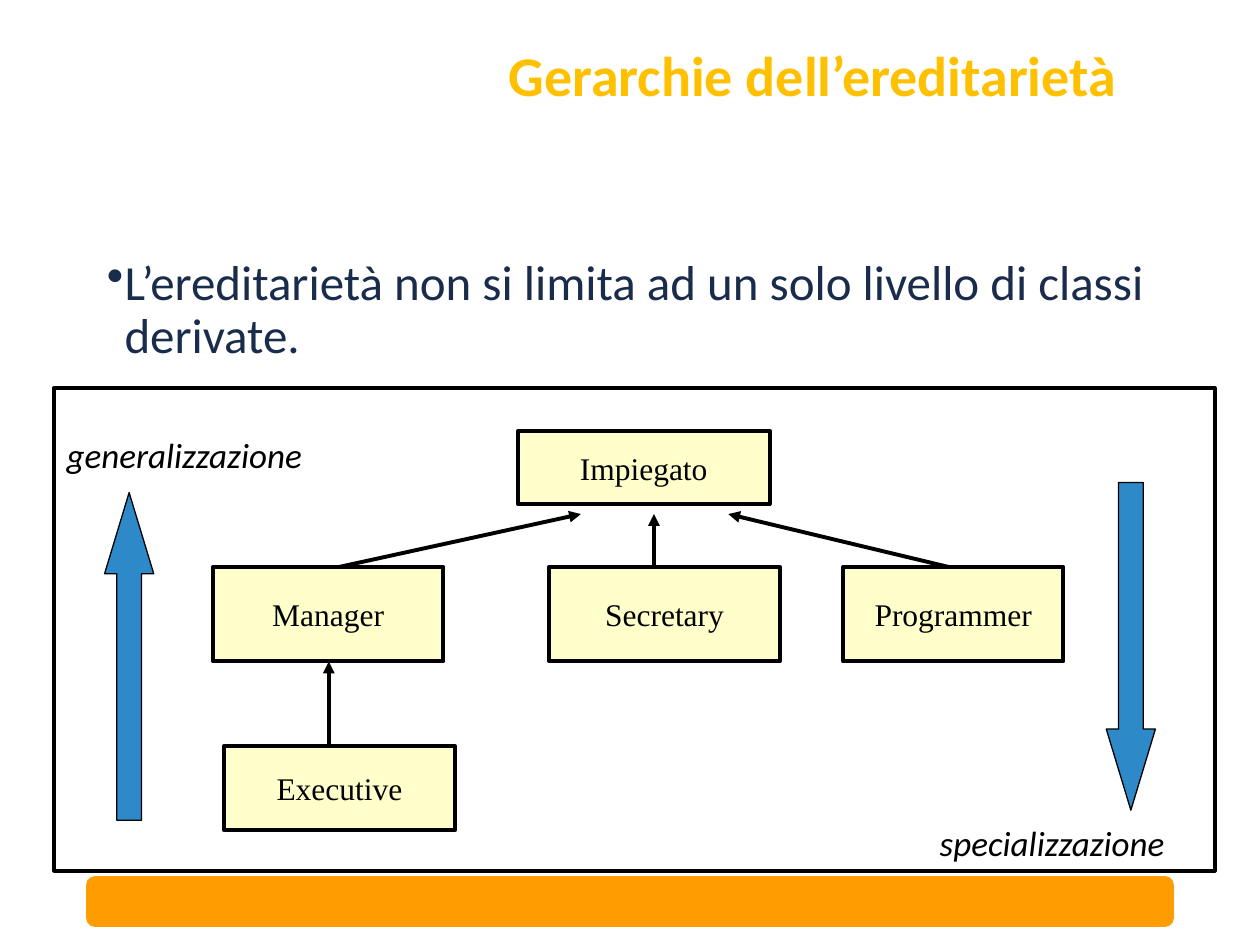
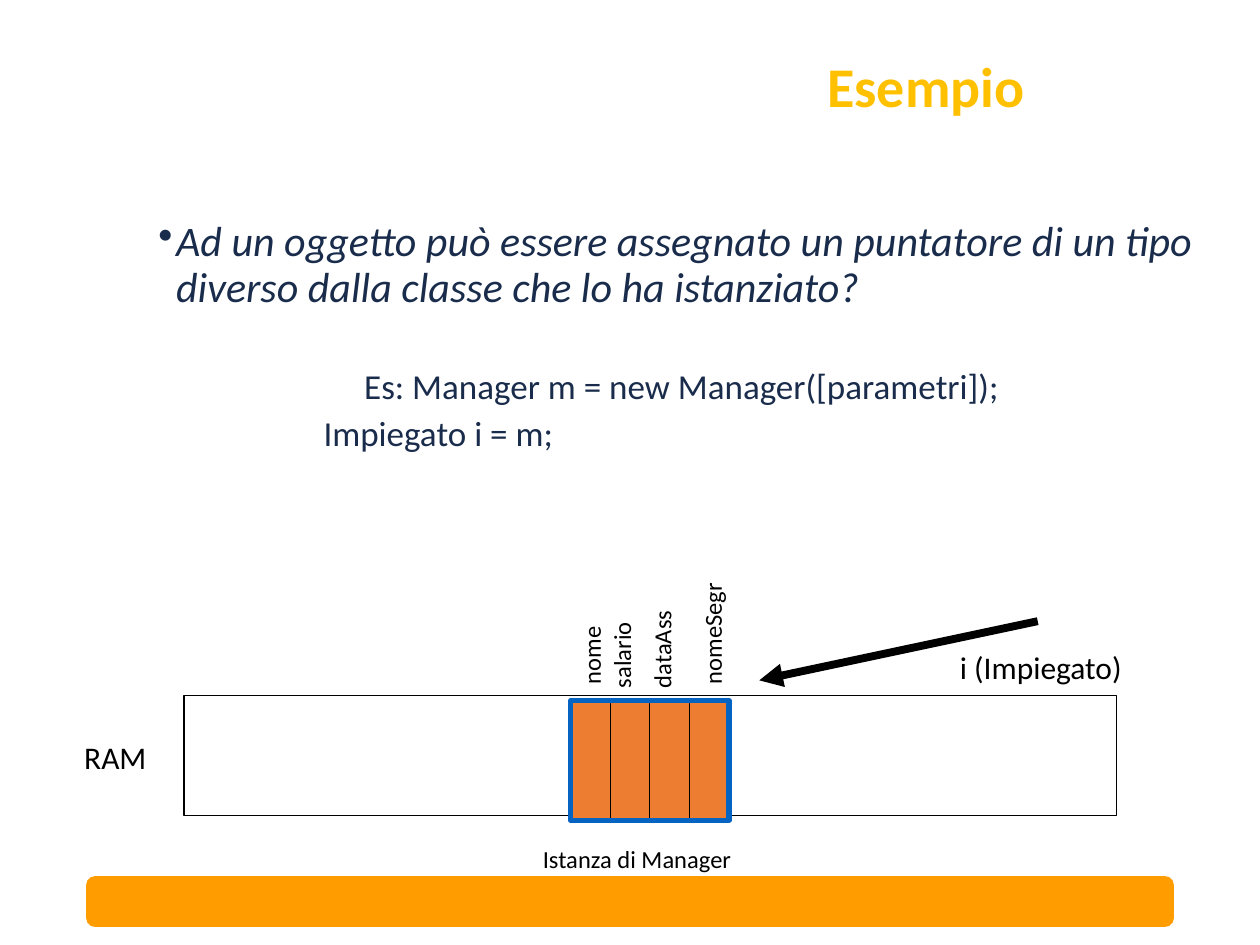
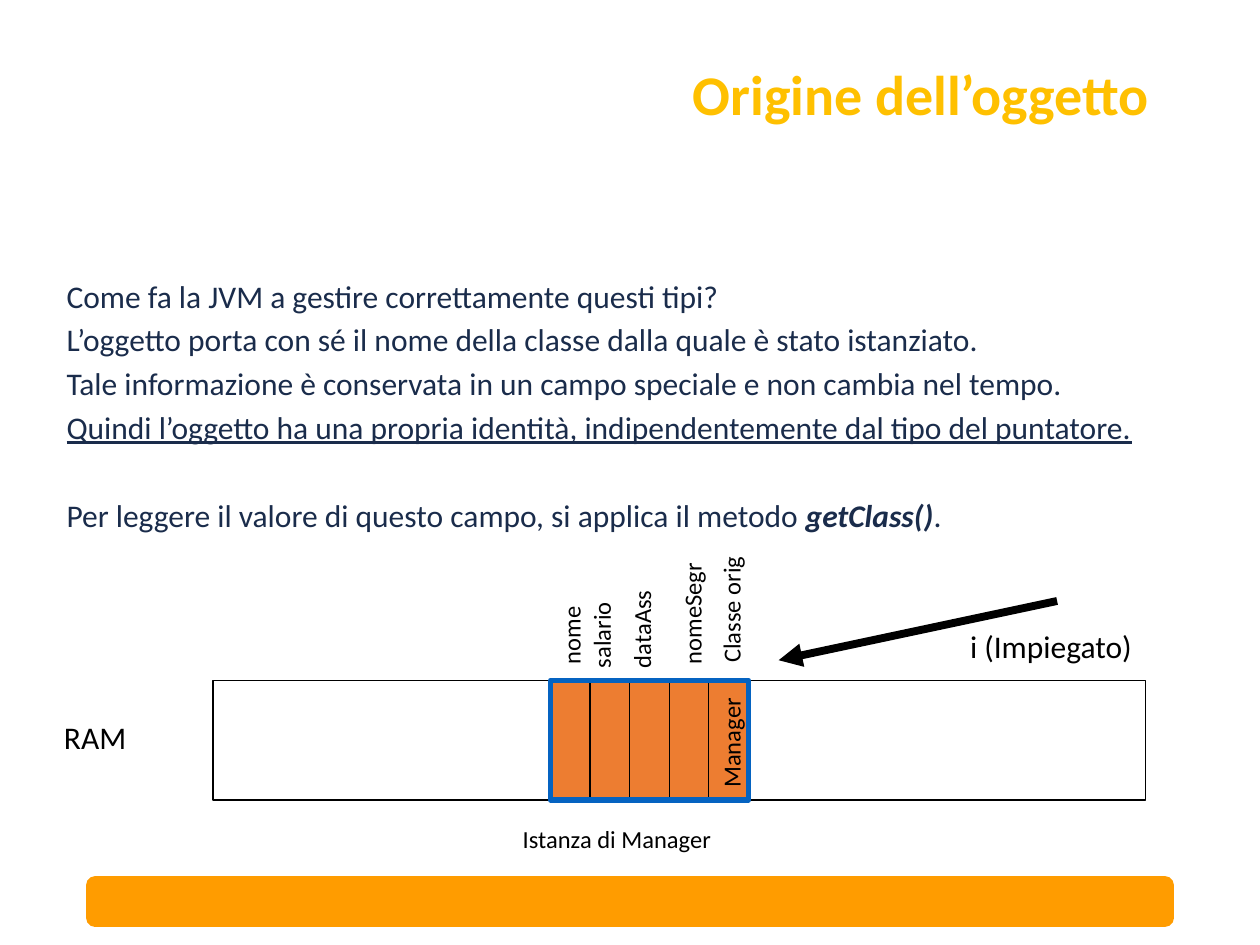
from lxml.etree import SubElement
from pptx import Presentation
from pptx.dml.color import RGBColor
from pptx.enum.shapes import MSO_CONNECTOR, MSO_SHAPE as Shape
from pptx.enum.text import MSO_ANCHOR as Anchor, MSO_AUTO_SIZE as AutoSize, PP_ALIGN as Align
from pptx.oxml.ns import qn
from pptx.util import Inches, Pt

SLIDE_W, SLIDE_H = 10, 7.5
SANS, SERIF = "Calibri", "Times New Roman"
BLACK = RGBColor(0x00, 0x00, 0x00)
WHITE = RGBColor(0xFF, 0xFF, 0xFF)
GOLD = RGBColor(0xFF, 0xC0, 0x00)
NAVY = RGBColor(0x1A, 0x2C, 0x4B)
BAND = RGBColor(0xFF, 0x9C, 0x00)
CREAM = RGBColor(0xFF, 0xFF, 0xCC)
ARROW_BLUE = RGBColor(0x2D, 0x89, 0xC7)
FIELD_ORANGE = RGBColor(0xED, 0x7D, 0x31)
FRAME_BLUE = RGBColor(0x05, 0x63, 0xC1)

# Content: boxes are (left, top, width, height) in inches.
# A paragraph is (runs, size, options); a run is (text, styles).
HIERARCHY = {
    "title": ("Gerarchie dell’ereditarietà", (2.99, 0.25, 6.92, 0.75)),
    "body_box": (0.75, 2, 8.5, 1.08),
    "body": [([("L’ereditarietà non si limita ad un solo livello di classi derivate.", "")],
              28, {"bullet": True})],
    "frame": (0.43, 3.08, 9.21, 3.83),
    "classes": [
        ("Impiegato", (4.11, 3.42, 2, 0.58)),
        ("Manager", (1.69, 4.5, 1.83, 0.75)),
        ("Secretary", (4.36, 4.5, 1.83, 0.75)),
        ("Programmer", (6.69, 4.5, 1.75, 0.75)),
        ("Executive", (1.78, 5.92, 1.83, 0.67)),
    ],
    "links": [
        ((2.69, 4.5), (4.61, 4.08)),
        ((5.19, 4.5), (5.19, 4.08)),
        ((7.53, 4.5), (5.78, 4.08)),
        ((2.61, 5.92), (2.61, 5.25)),
    ],
    "directions": [
        ("generalizzazione", (0.43, 3.39, 2.21, 0.43), (0.83, 3.91), 0),
        ("specializzazione", (7.36, 6.47, 2.12, 0.43), (8.78, 3.83), 180),
    ],
}

# A field label is (text, text length, centre from object left, foot from object top).
MANAGER_FIELDS = [
    ("nome", 0.68, 0.16, -0.03),
    ("salario", 0.76, 0.4, 0),
    ("dataAss", 0.87, 0.72, 0),
    ("nomeSegr", 1.07, 1.12, -0.03),
]
ORIGIN_FIELD = ("Classe orig", 1.13, 1.43, -0.04)
ORIGIN_VALUE = ("Manager", 0.94, 1.43, 0.95)

EXAMPLE = {
    "title": ("Esempio", (5.41, 0.01, 3.88, 1.39)),
    "body_box": (1.16, 1.7, 8.5, 2.17),
    "body": [
        ([("Ad un oggetto può essere assegnato un puntatore di un tipo diverso "
           "dalla classe che lo ha istanziato?", "i")], 24, {"bullet": True}),
        ([("Es: Manager m = new Manager([parametri]);", "")], 20,
         {"align": Align.CENTER, "before": 33}),
        ([("Impiegato i = m;", "")], 20, {"indent": 1.31}),
    ],
    "memory": {"bar": (1.46, 5.52), "object": (4.53, 5.56), "pointer_left": 7.52,
               "fields": MANAGER_FIELDS, "values": []},
}

ORIGIN = {
    "title": ("Origine dell’oggetto", (5.37, 0.08, 3.88, 1.39)),
    "body_box": (0.43, 2.18, 9.57, 2.41),
    "body": [
        ([("Come fa la JVM a gestire correttamente questi tipi?", "")], 18, {}),
        ([("L’oggetto porta con sé il nome della classe dalla quale è stato istanziato.", "")],
         18, {}),
        ([("Tale informazione è conservata in un campo speciale e non cambia nel tempo.", "")],
         18, {}),
        ([("Quindi l’oggetto ha una propria identità, indipendentemente dal tipo del puntatore.",
           "u")], 18, {}),
        ([("Per leggere il valore di questo campo, si applica il metodo ", ""),
          ("getClass()", "bi"), (".", "")], 18, {"before": 31}),
    ],
    "memory": {"bar": (1.69, 5.4), "object": (4.37, 5.4), "pointer_left": 7.6,
               "fields": MANAGER_FIELDS + [ORIGIN_FIELD], "values": [ORIGIN_VALUE]},
}

BAND_BOX = (0.69, 6.96, SLIDE_W - 2 * 0.69, 0.39)
DIRECTION_SIZE = (0.39, 2.6)
BAR_SIZE = (7.4, 0.95)
FIELD_W, FIELD_H = 0.314, 0.95
LABEL_H = 0.33


def inches(values):
    """Turn plain numbers into lengths."""
    return [Inches(value) for value in values]


def style_font(font, size, color, name=SANS):
    """Set size, colour and typeface of a font."""
    font.size, font.name = Pt(size), name
    font.color.rgb = color


def add_box(slide, kind, box, fill=None, line=BLACK, width=0.75):
    """Add a preset shape; without a fill only its outline shows."""
    shape = slide.shapes.add_shape(kind, *inches(box))
    shape.shadow.inherit = False
    if fill is None:
        shape.fill.background()
    else:
        shape.fill.solid()
        shape.fill.fore_color.rgb = fill
    shape.line.color.rgb = line
    shape.line.width = Pt(width)
    return shape


def add_arrow(slide, start, end, width):
    """Add a straight black line with an arrowhead at its end."""
    arrow = slide.shapes.add_connector(MSO_CONNECTOR.STRAIGHT, *inches(start + end))
    arrow.line.color.rgb = BLACK
    arrow.line.width = Pt(width)
    SubElement(arrow.line._get_or_add_ln(), qn("a:tailEnd"), type="triangle")
    SubElement(arrow._element.spPr, qn("a:effectLst"))


def add_label(slide, text, box, size, rotation=0, italic=False):
    """Add a one-line label that does not wrap."""
    label = slide.shapes.add_textbox(*inches(box))
    label.rotation = rotation
    frame = label.text_frame
    frame.word_wrap = False
    frame.auto_size = AutoSize.SHAPE_TO_FIT_TEXT
    frame.text = text
    font = frame.paragraphs[0].font
    style_font(font, size, BLACK)
    if italic:
        font.italic = True


def add_title(slide, text, box):
    """Add the bold gold title."""
    frame = slide.shapes.add_textbox(*inches(box)).text_frame
    frame.word_wrap = True
    frame.vertical_anchor = Anchor.MIDDLE
    frame.text = text
    paragraph = frame.paragraphs[0]
    paragraph.alignment, paragraph.line_spacing = Align.CENTER, 0.9
    style_font(paragraph.font, 32, GOLD)
    paragraph.font.bold = True


def add_body(slide, paragraphs, box):
    """Add the navy body text."""
    frame = slide.shapes.add_textbox(*inches(box)).text_frame
    frame.word_wrap = True
    for index, (runs, size, options) in enumerate(paragraphs):
        paragraph = frame.add_paragraph() if index else frame.paragraphs[0]
        paragraph.alignment = options.get("align", Align.LEFT)
        paragraph.line_spacing = 0.9
        paragraph.space_before = Pt(options.get("before", 5.5))
        style_font(paragraph.font, size, NAVY)
        properties = paragraph._p.get_or_add_pPr()
        if "indent" in options:
            properties.set("marL", str(Inches(options["indent"])))
        if options.get("bullet"):
            properties.set("marL", str(Inches(0.14)))
            properties.set("indent", str(-Inches(0.14)))
            bullet = properties.makeelement(qn("a:buChar"), {"char": "•"})
            properties.find(qn("a:defRPr")).addprevious(bullet)
        for text, styles in runs:
            run = paragraph.add_run()
            run.text = text
            if "b" in styles:
                run.font.bold = True
            if "i" in styles:
                run.font.italic = True
            if "u" in styles:
                run.font.underline = True


def add_base(deck, content):
    """Add a slide with its footer band, title and body."""
    slide = deck.slides.add_slide(deck.slide_layouts[6])
    add_box(slide, Shape.ROUNDED_RECTANGLE, BAND_BOX, BAND, BAND, 1)
    add_title(slide, *content["title"])
    add_body(slide, content["body"], content["body_box"])
    return slide


def draw_hierarchy(slide, content):
    """Draw the class tree and the two direction arrows."""
    add_box(slide, Shape.RECTANGLE, content["frame"], width=2.25)
    for name, box in content["classes"]:
        frame = add_box(slide, Shape.RECTANGLE, box, CREAM, width=2.25).text_frame
        frame.word_wrap = False
        frame.vertical_anchor = Anchor.MIDDLE
        frame.text = name
        frame.paragraphs[0].alignment = Align.CENTER
        style_font(frame.paragraphs[0].font, 18, BLACK, SERIF)
    for start, end in content["links"]:
        add_arrow(slide, start, end, 2.25)
    for text, box, corner, rotation in content["directions"]:
        add_label(slide, text, box, 20, italic=True)
        arrow = add_box(slide, Shape.UP_ARROW, corner + DIRECTION_SIZE, ARROW_BLUE)
        arrow.adjustments[0], arrow.adjustments[1] = 0.5, 1.65
        arrow.rotation = rotation


def draw_memory(slide, memory):
    """Draw the RAM bar, the object with its fields, and the pointer to it."""
    left, top = memory["object"]
    fields = memory["fields"]
    object_w = len(fields) * FIELD_W
    right = left + object_w
    add_box(slide, Shape.RECTANGLE, memory["bar"] + BAR_SIZE, WHITE)
    for column in range(len(fields)):
        add_box(slide, Shape.RECTANGLE, (left + column * FIELD_W, top, FIELD_W, FIELD_H),
                FIELD_ORANGE)
    add_box(slide, Shape.RECTANGLE, (left, top, object_w, FIELD_H), line=FRAME_BLUE, width=3)
    add_arrow(slide, (right + 2.45, top - 0.63), (right + 0.24, top - 0.16), 4.5)
    add_label(slide, "i (Impiegato)", (memory["pointer_left"], top - 0.47, 1.65, 0.4), 18)
    add_label(slide, "Istanza di Manager", (left - 0.32, top + 1.09, 1.84, LABEL_H), 14)
    add_label(slide, "RAM", (left - 3.96, top + 0.25, 0.86, 0.5), 18)
    for text, length, centre, foot in fields + memory["values"]:
        box = (left + centre - length / 2, top + foot - (length + LABEL_H) / 2, length, LABEL_H)
        add_label(slide, text, box, 14, rotation=270)


deck = Presentation()
deck.slide_width, deck.slide_height = inches((SLIDE_W, SLIDE_H))
draw_hierarchy(add_base(deck, HIERARCHY), HIERARCHY)
for content in (EXAMPLE, ORIGIN):
    draw_memory(add_base(deck, content), content["memory"])
deck.save("out.pptx")
